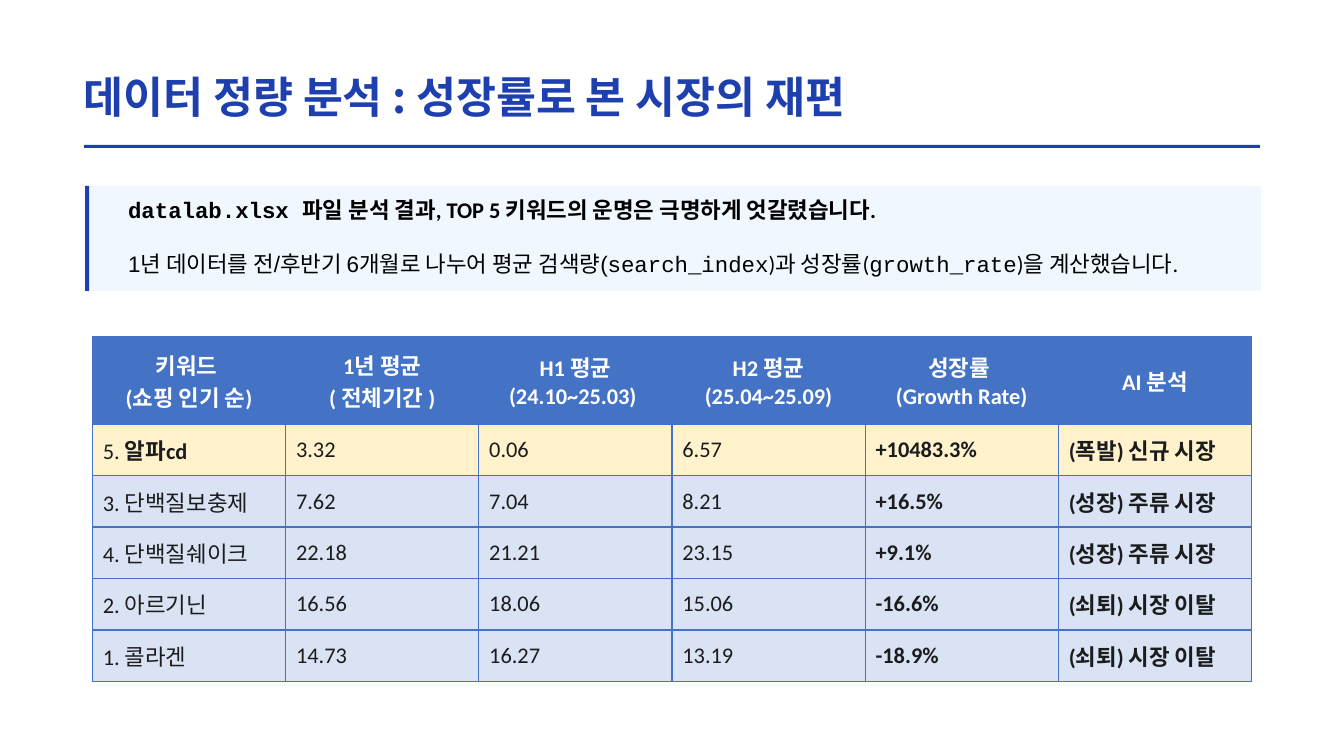
from dataclasses import dataclass

from lxml import etree
from pptx import Presentation
from pptx import util as u
from pptx.dml.color import RGBColor
from pptx.enum import shapes, text
from pptx.oxml.ns import qn


@dataclass(frozen=True)
class Theme:
    """Colours, fonts and type sizes of the slide."""
    accent: str = "1E40AF"
    panel: str = "F0F7FF"
    header: str = "4472C4"
    highlight: str = "FFF2CC"
    band: str = "DAE3F3"
    white: str = "FFFFFF"
    black: str = "000000"
    ink: str = "1B1C1D"
    body: str = "Calibri"
    sans: str = "Arial"
    mono: str = "Courier New"
    korean: str = "Noto Sans CJK KR"
    title_size: int = 31
    text_size: int = 16
    gap: int = 19


class SlideBuilder:
    """Draws elements on one slide, with lengths in px."""

    def __init__(self, slide, theme):
        """Keep the slide and its style."""
        self.s = slide
        self.t = theme

    def px(self, *lengths):
        """Turn px into EMU."""
        return [u.Emu(n * 9525) for n in lengths]

    def run(self, p, content, font, size, color, bold=False):
        """Add one styled run, breaking lines at newlines."""
        for i, line in enumerate(content.split("\n")):
            if i:
                p.add_line_break()
            r = p.add_run()
            r.text = line
            r.font.size = u.Pt(size)
            r.font.bold = bold
            r.font.color.rgb = RGBColor.from_string(color)
            r.font.name = font
            ea = etree.SubElement(r._r.get_or_add_rPr(), qn("a:ea"))
            ea.set("typeface", self.t.korean)

    def rect(self, x, y, w, h, color):
        """Add a plain filled rectangle."""
        sp = self.s.shapes.add_shape(shapes.MSO_SHAPE.RECTANGLE, *self.px(x, y, w, h))
        sp.shadow.inherit = False
        sp.fill.solid()
        sp.fill.fore_color.rgb = RGBColor.from_string(color)
        sp.line.fill.background()

    def textbox(self, x, y, w, h, paragraphs, size, color, inset=(0, 0), gap=0):
        """Add a middle-anchored text box of (text, font, bold) runs."""
        tf = self.s.shapes.add_textbox(*self.px(x, y, w, h)).text_frame
        tf.word_wrap = True
        tf.vertical_anchor = text.MSO_ANCHOR.MIDDLE
        tf.margin_left = tf.margin_right = self.px(inset[0])[0]
        tf.margin_top = tf.margin_bottom = self.px(inset[1])[0]
        for i, runs in enumerate(paragraphs):
            p = tf.add_paragraph() if i else tf.paragraphs[0]
            if i:
                p.space_before = u.Pt(gap)
            for content, font, bold in runs:
                self.run(p, content, font, size, color, bold)

    def cell(self, cell, paragraphs, fill, color, align):
        """Fill one bordered cell with paragraphs of (text, bold) runs."""
        cell.vertical_anchor = text.MSO_ANCHOR.MIDDLE
        cell.margin_left, cell.margin_right = self.px(10, 10)
        cell.margin_top, cell.margin_bottom = self.px(7, 7)
        tc_pr = cell._tc.get_or_add_tcPr()
        for side in ("lnL", "lnR", "lnT", "lnB"):
            ln = etree.SubElement(tc_pr, qn(f"a:{side}"), w=str(u.Pt(1)))
            solid = etree.SubElement(ln, qn("a:solidFill"))
            etree.SubElement(solid, qn("a:srgbClr"), val=self.t.header)
        cell.fill.solid()
        cell.fill.fore_color.rgb = RGBColor.from_string(fill)
        tf = cell.text_frame
        for i, runs in enumerate(paragraphs):
            p = tf.add_paragraph() if i else tf.paragraphs[0]
            p.alignment = align
            for content, bold in runs:
                self.run(p, content, self.t.body, self.t.text_size, color, bold)

    def table(self, x, y, col_w, head_h, row_h, headers, rows):
        """Add the table, with its first body row highlighted."""
        n_rows, n_cols = len(rows) + 1, len(headers)
        frame = self.s.shapes.add_table(
            n_rows, n_cols, *self.px(x, y, col_w * n_cols, head_h + row_h * len(rows)))
        tbl = frame.table
        tbl.first_row = tbl.horz_banding = False
        for col in tbl.columns:
            col.width = self.px(col_w)[0]
        for i, row in enumerate(tbl.rows):
            row.height = self.px(row_h if i else head_h)[0]
        for c, lines in enumerate(headers):
            self.cell(tbl.cell(0, c), [[(line, True)] for line in lines],
                      self.t.header, self.t.white, text.PP_ALIGN.CENTER)
        for i, (keyword, *values) in enumerate(rows, 1):
            fill = self.t.highlight if i == 1 else self.t.band
            cells = [keyword] + [[(v, c >= 3)] for c, v in enumerate(values)]
            for c, runs in enumerate(cells):
                self.cell(tbl.cell(i, c), [runs], fill, self.t.ink, text.PP_ALIGN.LEFT)


HEADERS = [
    ["키워드 ", "(쇼핑 인기 순)"],
    ["1년 평균\n( 전체기간 )"],
    ["H1 평균", "(24.10~25.03) "],
    ["H2 평균", "(25.04~25.09)"],
    ["성장률 ", "(Growth Rate)"],
    ["AI 분석"],
]
ROWS = [
    ([("5. ", False), ("알파cd", True)], "3.32", "0.06", "6.57", "+10483.3%", "(폭발) 신규 시장"),
    ([("3. 단백질보충제", False)], "7.62", "7.04", "8.21", "+16.5%", "(성장) 주류 시장"),
    ([("4. 단백질쉐이크", False)], "22.18", "21.21", "23.15", "+9.1%", "(성장) 주류 시장"),
    ([("2. 아르기닌", False)], "16.56", "18.06", "15.06", "-16.6%", "(쇠퇴) 시장 이탈"),
    ([("1. 콜라겐", False)], "14.73", "16.27", "13.19", "-18.9%", "(쇠퇴) 시장 이탈"),
]


def main():
    """Build and save the slide."""
    t = Theme()
    prs = Presentation()
    prs.slide_width, prs.slide_height = u.Emu(1280 * 9525), u.Emu(720 * 9525)
    b = SlideBuilder(prs.slides.add_slide(prs.slide_layouts[6]), t)

    b.rect(80, 138, 1120, 3, t.accent)
    b.textbox(80, 61, 777, 61, [[("데이터 정량 분석 : 성장률로 본 시장의 재편", t.korean, True)]],
              t.title_size, t.accent)

    b.rect(81, 177, 1120, 100, t.panel)
    b.rect(81, 177, 4, 100, t.accent)
    summary = [
        [("datalab.xlsx ", t.mono, True),
         ("파일 분석 결과, TOP 5 키워드의 운명은 극명하게 엇갈렸습니다.", t.body, True)],
        [("1년 데이터를 전/후반기 6개월로 나누어 평균 검색량(", t.sans, False),
         ("search_index", t.mono, False),
         (")과 성장률(", t.body, False),
         ("growth_rate", t.mono, False),
         (")을 계산했습니다.", t.body, False)],
    ]
    b.textbox(112, 182, 1037, 87, summary, t.text_size, t.black, inset=(10, 5), gap=t.gap)

    b.table(88, 321, 184, 83, 49, HEADERS, ROWS)
    prs.save("out.pptx")


if __name__ == "__main__":
    main()
